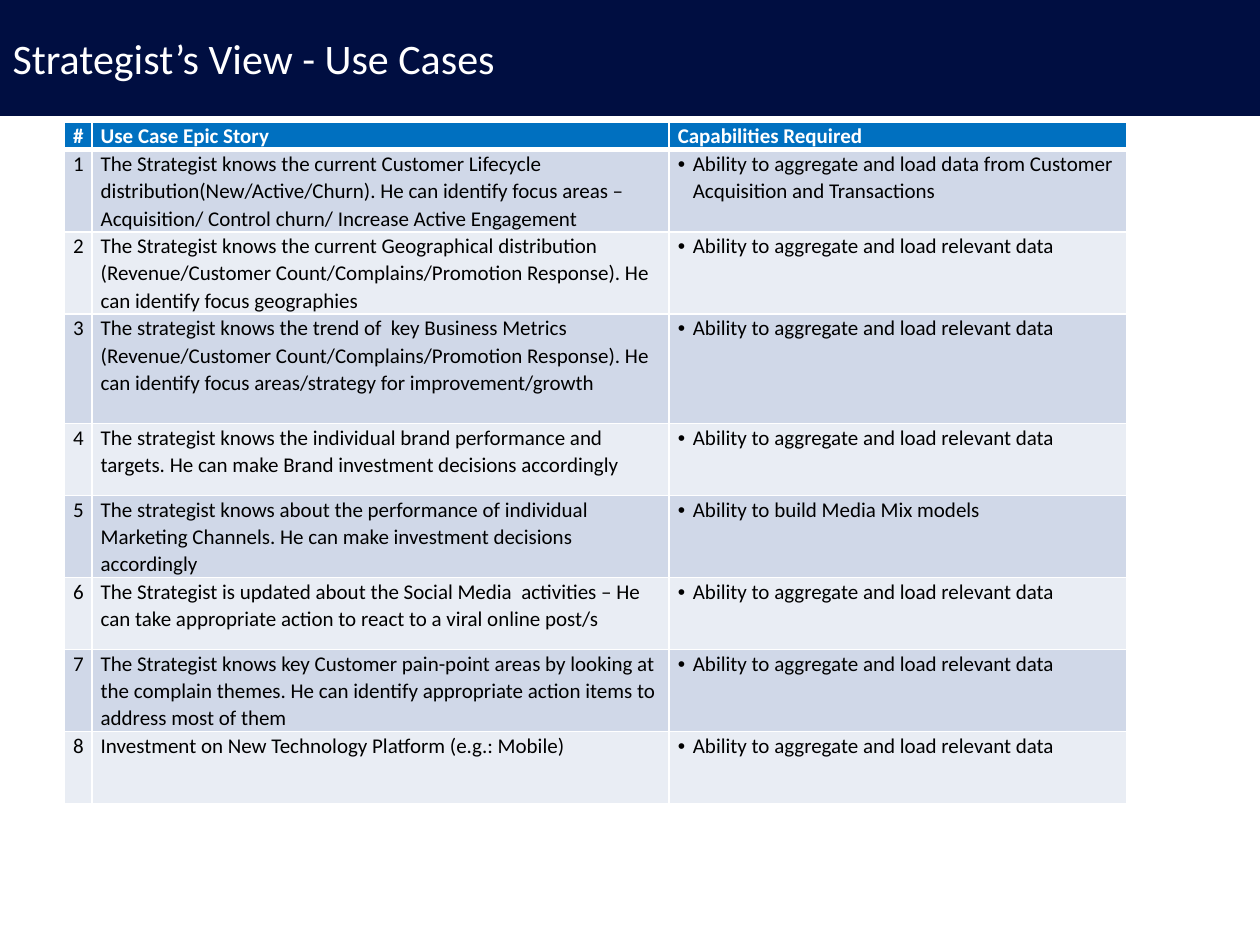
from pptx import Presentation
from pptx.dml.color import RGBColor
from pptx.enum.text import MSO_ANCHOR, MSO_AUTO_SIZE, PP_ALIGN
from pptx.oxml.ns import qn
from pptx.util import Inches, Pt
from lxml.etree import SubElement

COLORS = {"navy": "000E41", "blue": "0070C0", "odd": "D0D8E8",
          "even": "E9EDF4", "white": "FFFFFF", "black": "000000"}
HEADS = ("#", "Use Case Epic Story", "Capabilities Required")
WIDTHS = (0.22, 4.58, 3.63)
LOAD = "Ability to aggregate and load relevant data"
CASES = (
    ("The Strategist knows the current Customer Lifecycle "
     "distribution(New/Active/Churn). He can identify focus areas – "
     "Acquisition/ Control churn/ Increase Active Engagement",
     "Ability to aggregate and load data from Customer Acquisition and Transactions "),
    ("The Strategist knows the current Geographical distribution "
     "(Revenue/Customer Count/Complains/Promotion Response). "
     "He can identify focus geographies", LOAD),
    ("The strategist knows the trend of  key Business Metrics "
     "(Revenue/Customer Count/Complains/Promotion Response). "
     "He can identify focus areas/strategy for improvement/growth", LOAD),
    ("The strategist knows the individual brand performance and targets. "
     "He can make Brand investment decisions accordingly", LOAD),
    ("The strategist knows about the performance of individual Marketing "
     "Channels. He can make investment decisions accordingly",
     "Ability to build Media Mix models"),
    ("The Strategist is updated about the Social Media  activities – He can "
     "take appropriate action to react to a viral online post/s", LOAD),
    ("The Strategist knows key Customer pain-point areas by looking at the "
     "complain themes. He can identify appropriate action items to address "
     "most of them", LOAD),
    ("Investment on New Technology Platform (e.g.: Mobile)", LOAD),
)
HEIGHTS = {0: 0.16, 3: 0.87}


def color(name):
    """Return the named colour."""
    return RGBColor.from_string(COLORS[name])


def apply(target, values):
    """Set each attribute in values on the target."""
    for key, value in values.items():
        setattr(target, key, value)


def style(font, size, shade, bold=False):
    """Format a font."""
    apply(font, {"name": "Calibri", "size": Pt(size), "bold": bold})
    font.color.rgb = color(shade)


def add_title(slide, box, text):
    """Place the title band in the given box."""
    title = slide.shapes.title
    apply(title, dict(zip(("left", "top", "width", "height"), map(Inches, box))))
    title.fill.solid()
    title.fill.fore_color.rgb = color("navy")
    frame = title.text_frame
    frame.text = text
    apply(frame, {"auto_size": MSO_AUTO_SIZE.NONE, "word_wrap": True,
                  "vertical_anchor": MSO_ANCHOR.MIDDLE})
    line = frame.paragraphs[0]
    line.alignment = PP_ALIGN.LEFT
    style(line.runs[0].font, 24, "white")


def add_rules(cell, below):
    """Draw white cell borders, with the given width below."""
    props = cell._tc.get_or_add_tcPr()
    for side, width in (("L", 1), ("R", 1), ("T", 1), ("B", below)):
        rule = SubElement(props, qn("a:ln" + side), w=str(Pt(width)))
        fill = SubElement(rule, qn("a:solidFill"))
        SubElement(fill, qn("a:srgbClr"), val=COLORS["white"])


def add_bullet(line):
    """Give a paragraph a hanging bullet."""
    props = line._p.get_or_add_pPr()
    props.set("marL", str(Inches(0.12)))
    props.set("indent", str(Inches(-0.12)))
    SubElement(props, qn("a:buFont"), typeface="Arial")
    SubElement(props, qn("a:buChar"), char="•")


def fill_cell(cell, text, row, col):
    """Write and format one table cell."""
    head = row == 0
    cell.text = text
    apply(cell, {"margin_left": Inches(0.07), "margin_right": Inches(0.07),
                 "margin_top": 0, "margin_bottom": 0})
    add_rules(cell, 3 if head else 1)
    cell.fill.solid()
    cell.fill.fore_color.rgb = color(
        "blue" if head else "odd" if row % 2 else "even")
    line = cell.text_frame.paragraphs[0]
    line.line_spacing = 1.07
    style(line.runs[0].font, 12, "white" if head else "black", head)
    if col == 2 and not head:
        add_bullet(line)


def add_cases(slide, left, top):
    """Place the use case table with its corner at left, top."""
    rows = [HEADS] + [(str(n), *case) for n, case in enumerate(CASES, 1)]
    highs = [HEIGHTS.get(n, 0.57) for n in range(len(rows))]
    table = slide.shapes.add_table(
        len(rows), len(WIDTHS), Inches(left), Inches(top),
        Inches(sum(WIDTHS)), Inches(sum(highs))).table
    for column, width in zip(table.columns, WIDTHS):
        column.width = Inches(width)
    for r, texts in enumerate(rows):
        table.rows[r].height = Inches(highs[r])
        for c, text in enumerate(texts):
            fill_cell(table.cell(r, c), text, r, c)


deck = Presentation()
apply(deck, {"slide_width": Inches(10), "slide_height": Inches(7.5)})
slide = deck.slides.add_slide(deck.slide_layouts[5])
add_title(slide, (0, 0, 10, 0.92), "Strategist’s View - Use Cases")
add_cases(slide, 0.51, 0.97)
deck.save("out.pptx")
